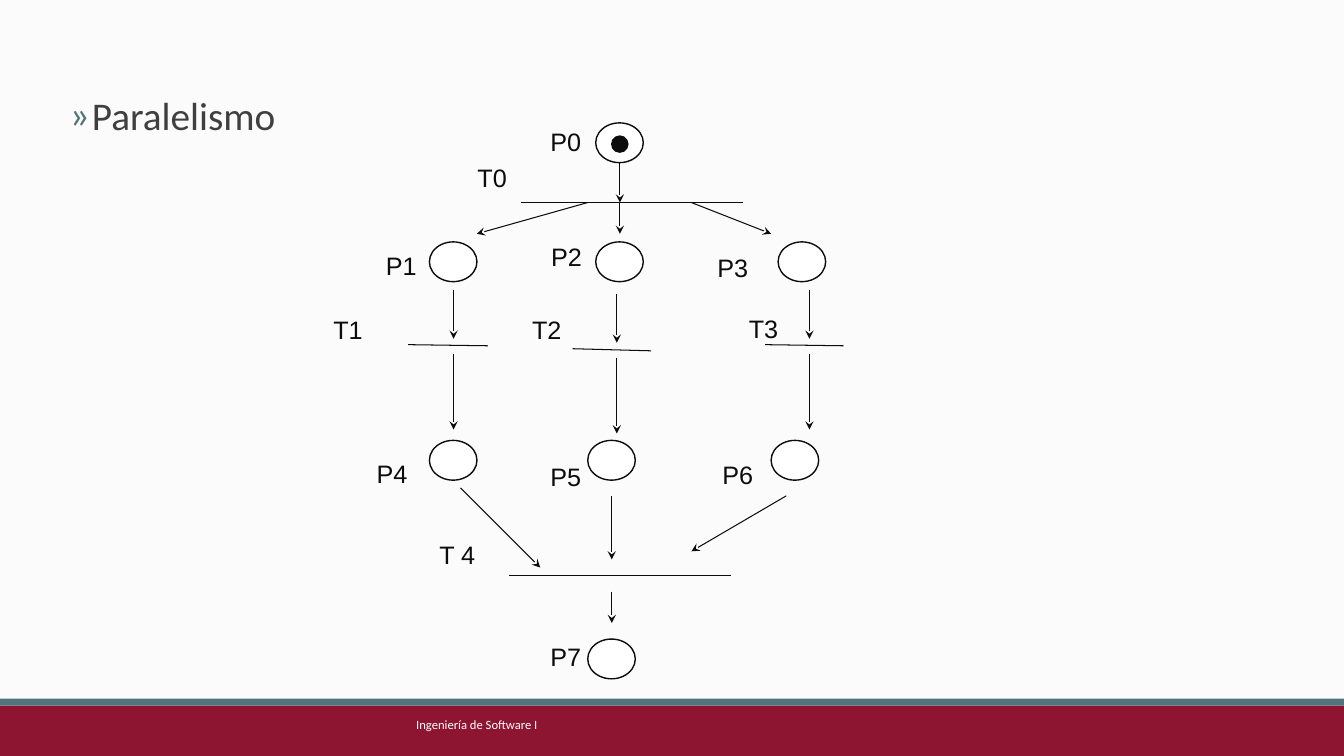
from lxml import etree
from pptx import Presentation
from pptx.dml.color import RGBColor
from pptx.enum.shapes import MSO_CONNECTOR, MSO_SHAPE
from pptx.enum.text import MSO_ANCHOR, PP_ALIGN
from pptx.oxml.ns import qn
from pptx.util import Pt

COLORS = {
    "background": "FBFBFB",
    "footer": "8D1532",
    "accent": "54747B",
    "heading": "3F3F3F",
    "ink": "0C0C0C",
    "white": "FFFFFF",
}
WIDTH, HEIGHT = 960, 540
PLACE_W, PLACE_H = 34, 28.4

# name, circle left and top, label left and top
PLACES = [
    ("P0", 425.5, 87.8, 386, 86.4),
    ("P1", 306.7, 172.8, 268.5, 175),
    ("P2", 425.5, 172.8, 386.6, 168.5),
    ("P3", 555.8, 172.8, 505.4, 177),
    ("P4", 306.7, 314.6, 262, 324),
    ("P5", 419.8, 314.6, 386, 326.2),
    ("P6", 550.8, 314.6, 509, 324.7),
    ("P7", 419.8, 456.5, 386, 454.3),
]
# name, label left and top, bar start and end
TRANSITIONS = [
    ("T0", 334, 112.3, (372.2, 144.7), (530.6, 144.7)),
    ("T1", 231, 221, (291.6, 246.2), (348.5, 247)),
    ("T2", 373, 221, (409, 249.1), (465.1, 250.6)),
    ("T3", 527.8, 220.3, (546.5, 246.2), (602.6, 247)),
    ("T 4", 306.7, 381.6, (363.6, 411.1), (522, 411.1)),
]
FORK_ARCS = [
    ((442.8, 116.6), (442.8, 144.7)),
    ((419.8, 144.7), (340.6, 167)),
    ((442.8, 144.7), (442.8, 167)),
    ((493.9, 144.7), (550.8, 167)),
]
JOIN_ARCS = [
    ((329, 348.5), (385.9, 405.4)),
    ((437, 354.2), (437, 399.6)),
    ((561.6, 354.2), (493.9, 393.8)),
    ((437, 422.6), (437, 445)),
]
# x and top of the arcs into and out of T1, T2 and T3
BRANCHES = [(324, 207.4), (440.6, 210.2), (578.2, 207.4)]


def color(name):
    return RGBColor.from_string(COLORS[name])


def add_filled(shapes, preset, left, top, width, height, fill, outline=None):
    shape = shapes.add_shape(preset, Pt(left), Pt(top), Pt(width), Pt(height))
    shape.shadow.inherit = False
    shape.fill.solid()
    shape.fill.fore_color.rgb = color(fill)
    if outline:
        shape.line.color.rgb = color(outline)
        shape.line.width = Pt(1)
    else:
        shape.line.fill.background()


def add_run(paragraph, text, font, size, ink):
    run = paragraph.add_run()
    run.text = text
    run.font.name = font
    run.font.size = Pt(size)
    run.font.color.rgb = color(ink)


def add_text(shapes, text, left, top, width, font="Arial", size=18, ink="ink"):
    box = shapes.add_textbox(Pt(left), Pt(top), Pt(width), Pt(28.8))
    box.text_frame.word_wrap = True
    add_run(box.text_frame.paragraphs[0], text, font, size, ink)


def add_line(shapes, start, end, arrow=False):
    line = shapes.add_connector(MSO_CONNECTOR.STRAIGHT, *map(Pt, start + end))
    line.line.color.rgb = color("ink")
    line.line.width = Pt(0.75)
    properties = line._element.spPr
    if arrow:
        etree.SubElement(properties.find(qn("a:ln")), qn("a:tailEnd"), type="stealth")
    etree.SubElement(properties, qn("a:effectLst"))


def set_heading(heading, text):
    heading.left, heading.top = Pt(42.5), Pt(67)
    heading.width, heading.height = Pt(800), Pt(74)
    frame = heading.text_frame
    frame.vertical_anchor = MSO_ANCHOR.TOP
    paragraph = frame.paragraphs[0]
    paragraph.alignment = PP_ALIGN.LEFT
    paragraph.line_spacing = 0.85
    add_run(paragraph, text, "Calibri", 28, "heading")
    properties = paragraph._p.get_or_add_pPr()
    properties.set("marL", str(Pt(16)))
    properties.set("indent", str(-Pt(16)))
    bullet_color = etree.SubElement(properties, qn("a:buClr"))
    etree.SubElement(bullet_color, qn("a:srgbClr"), val=COLORS["accent"])
    etree.SubElement(properties, qn("a:buFont"), typeface="Calibri")
    etree.SubElement(properties, qn("a:buChar"), char="»")


def add_footer(shapes):
    add_filled(shapes, MSO_SHAPE.RECTANGLE, 0, 504, WIDTH, 36, "footer")
    add_filled(shapes, MSO_SHAPE.RECTANGLE, 0, 499, WIDTH, 5, "accent")
    add_text(shapes, "Ingeniería de Software I", 290.2, 508.3, 379.4,
             "Calibri", 9, "white")


def add_petri_net(shapes):
    for name, left, top, label_left, label_top in PLACES:
        add_filled(shapes, MSO_SHAPE.OVAL, left, top, PLACE_W, PLACE_H,
                   "white", "ink")
        add_text(shapes, name, label_left, label_top, 38.2)
    add_filled(shapes, MSO_SHAPE.OVAL, 437, 97.2, 11.5, 11.5, "ink", "ink")

    for name, label_left, label_top, start, end in TRANSITIONS:
        add_line(shapes, start, end)
        add_text(shapes, name, label_left, label_top, 52)

    branch_arcs = [((x, top + begin), (x, top + end))
                   for x, top in BRANCHES
                   for begin, end in ((0, 34.6), (45.4, 99.4))]
    for start, end in FORK_ARCS + branch_arcs + JOIN_ARCS:
        add_line(shapes, start, end, arrow=True)


def main():
    deck = Presentation()
    deck.slide_width, deck.slide_height = Pt(WIDTH), Pt(HEIGHT)
    slide = deck.slides.add_slide(deck.slide_layouts[5])
    slide.background.fill.solid()
    slide.background.fill.fore_color.rgb = color("background")
    add_footer(slide.shapes)
    set_heading(slide.shapes.title, "Paralelismo")
    add_petri_net(slide.shapes.add_group_shape().shapes)
    deck.save("out.pptx")


if __name__ == "__main__":
    main()
